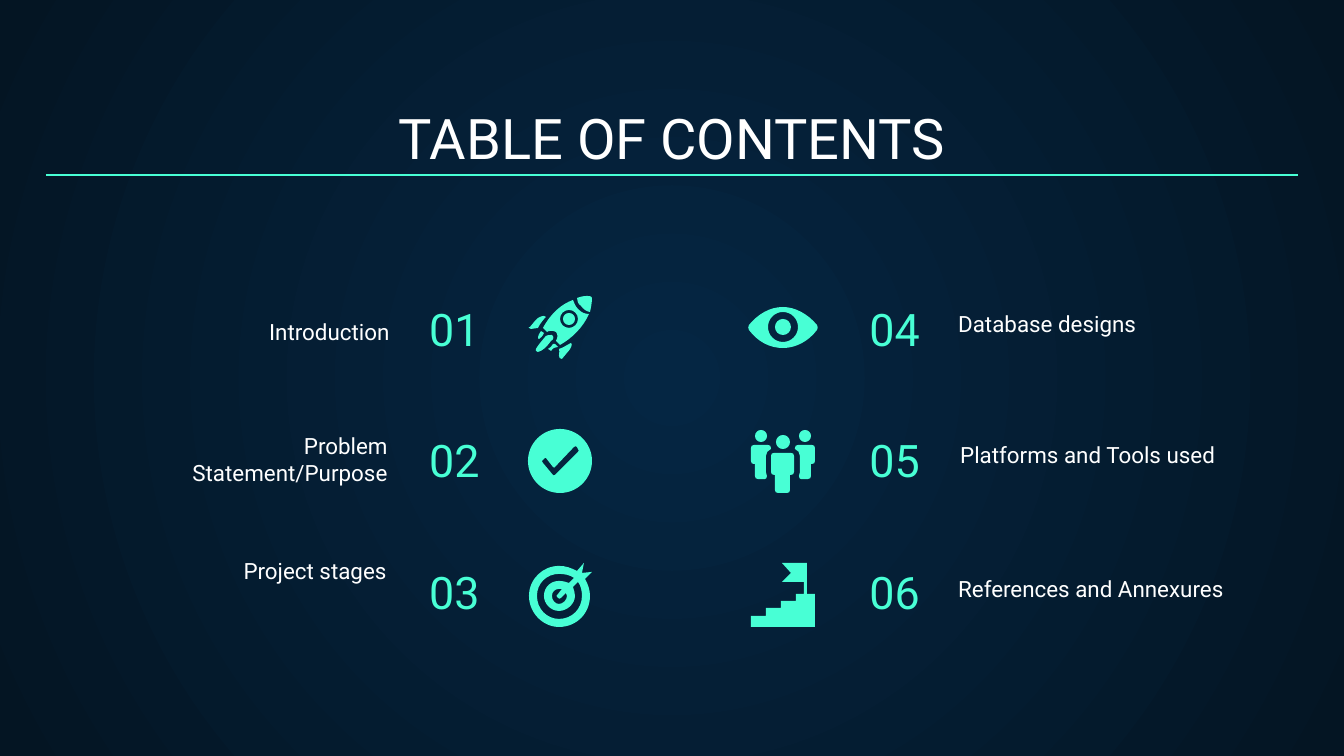
from lxml.etree import SubElement
from pptx import Presentation
from pptx.dml.color import RGBColor
from pptx.enum.shapes import MSO_CONNECTOR as Connector
from pptx.enum.text import MSO_ANCHOR as Anchor, PP_ALIGN as Align
from pptx.oxml.ns import qn
from pptx.util import Emu, Inches, Pt

SCALE = 914400 / 134.4
WHITE = RGBColor(0xFF, 0xFF, 0xFF)
MINT = RGBColor(0x48, 0xFF, 0xD5)
NAVY = RGBColor(0x05, 0x26, 0x43)
INK = RGBColor(0x04, 0x15, 0x23)


def emu(px):
    return Emu(round(px * SCALE))


def circle(x, y, radius):
    """Contour of four cubic curves."""
    k = 0.55 * radius
    left, top, right, bottom = x - radius, y - radius, x + radius, y + radius
    return [(x, top), (x + k, top, right, y - k, right, y),
            (right, y + k, x + k, bottom, x, bottom),
            (x - k, bottom, left, y + k, left, y),
            (left, y - k, x - k, top, x, top)]


def mirror(contour, axis):
    return [tuple(value if index % 2 else 2 * axis - value
                  for index, value in enumerate(segment)) for segment in contour]


def bend(shape, contours):
    """Join the three points of each cubic segment into one curve."""
    lines = shape.element.iter(qn("a:lnTo"))
    lines = iter(list(lines))
    for contour in contours:
        for segment in contour[1:]:
            line = next(lines)
            if len(segment) == 2:
                continue
            path = line.getparent()
            curve = SubElement(path, qn("a:cubicBezTo"))
            path.replace(line, curve)
            for corner in (line, next(lines), next(lines)):
                curve.append(corner[0])
                if corner is not line:
                    path.remove(corner)


class Painter:
    font = "Roboto"
    inset = Inches(0.1)

    def __init__(self, page):
        self.page = page

    def background(self, inner, outer):
        """Radial gradient from the centre of the page."""
        fill = self.page.background.fill
        fill.gradient()
        for stop, color, position in zip(fill.gradient_stops, (inner, outer), (0, 1)):
            stop.color.rgb = color
            stop.position = position
        gradient = self.page.element.find(".//" + qn("a:gradFill"))
        gradient.remove(gradient.find(qn("a:lin")))
        path = SubElement(gradient, qn("a:path"), path="circle")
        SubElement(path, qn("a:fillToRect"), l="50000", t="50000", r="50000", b="50000")

    def text(self, words, left, top, width, height, size, color, align=Align.LEFT):
        box = self.page.shapes.add_textbox(*map(emu, (left, top, width, height)))
        frame = box.text_frame
        frame.word_wrap = True
        frame.vertical_anchor = Anchor.BOTTOM
        frame.margin_left = frame.margin_right = self.inset
        frame.margin_top = frame.margin_bottom = self.inset
        para = frame.paragraphs[0]
        para.alignment = align
        span = para.add_run()
        span.text = words
        span.font.name = self.font
        span.font.size = Pt(size)
        span.font.color.rgb = color

    def rule(self, left, right, y, color, weight):
        line = self.page.shapes.add_connector(
            Connector.STRAIGHT, emu(left), emu(y), emu(right), emu(y))
        line.line.color.rgb = color
        line.line.width = Pt(weight)
        SubElement(line.element.spPr, qn("a:effectLst"))

    def icon(self, *parts):
        """Draw each part, a list of contours made of points (x, y) and
        cubic curves (x1, y1, x2, y2, x, y); inner contours become holes."""
        shapes = self.page.shapes
        if len(parts) > 1:
            shapes = shapes.add_group_shape().shapes
        for contours in parts:
            first, *holes = [[(emu(x), emu(y)) for segment in contour
                              for x, y in zip(segment[::2], segment[1::2])]
                             for contour in contours]
            builder = shapes.build_freeform(*first[0])
            builder.add_line_segments(first[1:], close=True)
            for hole in holes:
                builder.move_to(*hole[0])
                builder.add_line_segments(hole[1:], close=True)
            shape = builder.convert_to_shape()
            bend(shape, contours)
            shape.shadow.inherit = False
            shape.fill.solid()
            shape.fill.fore_color.rgb = MINT
            shape.line.fill.background()


def draw_rocket(painter):
    small_fin = [(541, 331), (539, 334, 538, 336, 538, 337), (538, 338, 538, 339, 539, 339),
                 (541, 338, 542, 336, 543, 335), (544, 333)]
    small_flame = [(555, 344), (553, 344), (551, 347, 550, 348, 548, 349),
                   (551, 351), (552, 349, 553, 348, 558, 347)]
    flame = [(551, 335), (550, 335, 547, 335, 546, 336), (540, 343, 537, 347, 536, 349),
             (536, 351), (538, 352), (542, 351, 546, 348, 551, 341),
             (554, 340, 554, 336, 552, 335)]
    left_fin = [(544, 316), (542, 316, 538, 317, 535, 321), (530, 327),
                (529, 327, 528, 328, 529, 328), (531, 329),
                (534, 328, 535, 328, 538, 328), (540, 324, 543, 320, 546, 317)]
    lower_fin = [(571, 343), (567, 345, 563, 348, 559, 349), (560, 351, 559, 352, 559, 356),
                 (559, 358, 560, 359, 562, 359), (567, 353), (571, 349, 573, 344, 571, 343)]
    nose = [(587, 296), (583, 296, 580, 297, 577, 298), (577, 301, 578, 304, 581, 306),
            (583, 309, 587, 312, 590, 312), (591, 308, 592, 302, 592, 298),
            (592, 297, 591, 296, 587, 296)]
    body = [(573, 300), (562, 304, 551, 313, 543, 328), (547, 332),
            (548, 331, 550, 331, 551, 331), (552, 331, 555, 331, 556, 332),
            (558, 335, 558, 337, 556, 341), (560, 345), (571, 339, 583, 328, 589, 314),
            (585, 314, 582, 313, 578, 309), (575, 306, 574, 302, 573, 300)]
    painter.icon([small_fin], [small_flame], [flame], [left_fin], [lower_fin],
                 [circle(569, 319, 6)], [nose], [body, circle(569, 319, 9)])


def draw_check(painter):
    tick = [(574, 447), (575, 446, 576, 446, 577, 447), (578, 449),
            (579, 450, 579, 451, 578, 452), (555, 475), (554, 476, 553, 475, 553, 475),
            (543, 463), (542, 462, 542, 461, 542, 461), (545, 458), (546, 458),
            (553, 467), (554, 468, 555, 468, 555, 467)]
    painter.icon([tick, circle(560, 461, 32)])


def draw_target(painter):
    rim = [(584, 563), (577, 571), (571, 568, 566, 566, 559, 566),
           (543, 566, 529, 579, 529, 596), (529, 613, 543, 627, 559, 627),
           (577, 627, 590, 613, 590, 596), (590, 590, 588, 584, 585, 579),
           (592, 572), (582, 573)]
    ring = [(559, 574), (564, 574, 570, 575, 574, 578), (569, 583),
            (566, 582, 563, 581, 559, 581), (551, 581, 544, 587, 544, 596),
            (544, 604, 551, 611, 559, 611), (567, 611, 575, 604, 575, 596),
            (575, 593, 574, 590, 573, 587), (578, 582), (581, 586, 582, 591, 582, 596),
            (582, 609, 572, 619, 559, 619), (547, 619, 537, 609, 537, 596),
            (537, 583, 547, 574, 559, 574)]
    center = [(559, 589), (560, 589, 561, 589, 562, 589), (558, 594),
              (556, 595, 556, 597, 558, 598), (559, 599, 560, 599, 561, 598), (566, 593),
              (567, 594, 567, 595, 567, 596), (567, 600, 563, 604, 559, 604),
              (555, 604, 552, 600, 552, 596), (552, 592, 555, 589, 559, 589)]
    painter.icon([center, ring, rim])


def draw_eye(painter):
    lids = [(783, 307), (770, 307, 758, 314, 749, 325), (748, 327, 748, 328, 749, 330),
            (758, 342, 770, 348, 783, 348), (795, 348, 808, 342, 817, 330),
            (818, 328, 818, 327, 817, 325), (808, 314, 795, 307, 783, 307)]
    painter.icon([circle(783, 327, 8), circle(783, 327, 15), lids])


def draw_team(painter):
    axis = 783
    head = circle(761, 436, 6)
    side = [(754, 445), (752, 445, 751, 446, 751, 448), (751, 461),
            (751, 463, 752, 464, 754, 464), (755, 464), (755, 476),
            (755, 478, 756, 479, 758, 479), (765, 479), (766, 479, 767, 478, 767, 476),
            (767, 475, 766, 473, 766, 472), (766, 456), (766, 453, 768, 450, 771, 449),
            (771, 448), (771, 446, 770, 445, 768, 445)]
    leader = [(774, 453), (772, 453, 771, 454, 771, 456), (771, 472),
              (771, 474, 772, 475, 774, 475), (775, 475), (775, 490),
              (775, 492, 776, 493, 778, 493), (787, 493), (789, 493, 790, 492, 790, 490),
              (790, 475), (791, 475), (793, 475, 794, 474, 794, 472), (794, 456),
              (794, 454, 793, 453, 791, 453)]
    painter.icon([head], [side], [mirror(head, axis)], [mirror(side, axis)],
                 [leader], [circle(axis, 442, 7)])


def draw_stairs(painter):
    painter.icon([[
        (782, 563), (791, 573), (782, 582), (804, 582), (804, 594), (796, 594), (796, 601),
        (781, 601), (781, 608), (766, 608), (766, 616), (751, 616), (751, 627), (815, 627),
        (815, 594), (807, 594), (807, 563)]])


def main():
    deck = Presentation()
    deck.slide_width, deck.slide_height = emu(1344), emu(756)
    painter = Painter(deck.slides.add_slide(deck.slide_layouts[6]))
    painter.background(NAVY, INK)
    painter.text("TABLE OF CONTENTS", 46, 95, 1252, 89, 30, WHITE, Align.CENTER)

    number_tops = (280, 411, 543)
    columns = (
        (4, 760, Align.RIGHT, Align.LEFT, (
            ("Database designs", 945, 322),
            ("Platforms and Tools used", 947, 453),
            ("References and Annexures", 945, 587))),
        (1, 416, Align.LEFT, Align.RIGHT, (
            ("Introduction", 98, 330),
            ("Problem Statement/Purpose", 96, 471),
            ("Project stages", 95, 569))),
    )
    for start, number_left, number_align, label_align, labels in columns:
        for row, (label, left, top) in enumerate(labels):
            painter.text(f"{start + row:02}", number_left, number_tops[row], 173, 89,
                         24, MINT, number_align)
            painter.text(label, left, top, 305, 28, 12, WHITE, label_align)

    for draw in (draw_target, draw_rocket, draw_check, draw_team, draw_stairs, draw_eye):
        draw(painter)
    painter.rule(46, 1298, 175, MINT, 0.75)
    deck.save("out.pptx")


if __name__ == "__main__":
    main()
